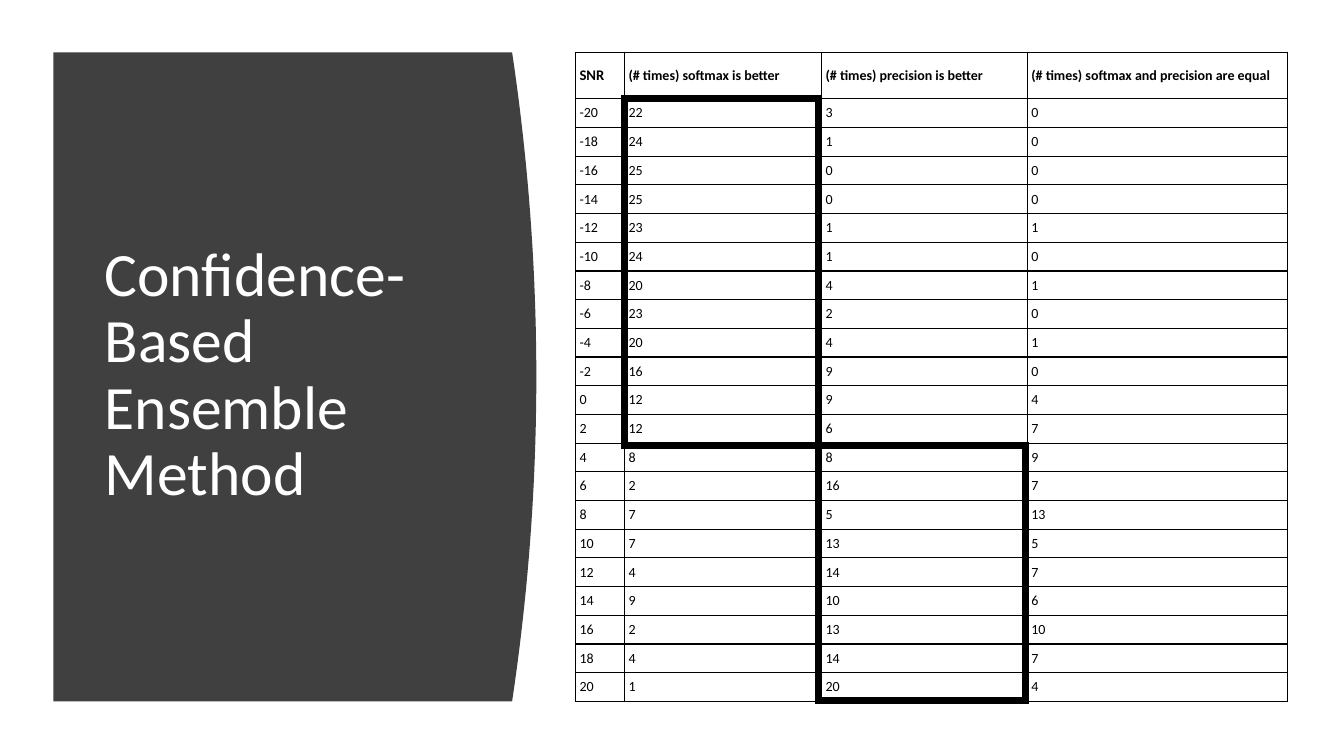
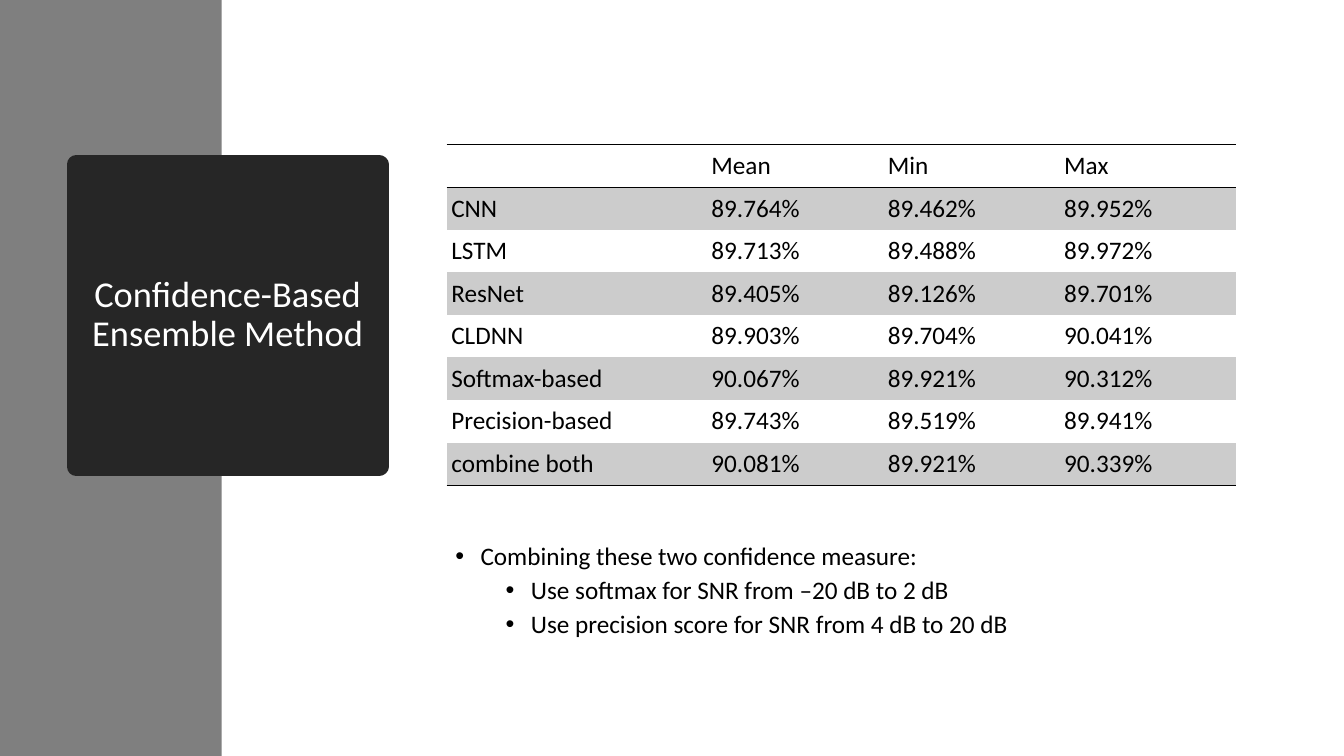
from dataclasses import dataclass
from typing import Collection, Optional, Sequence

from lxml.etree import SubElement
from pptx import Presentation
from pptx.dml.color import RGBColor
from pptx.enum.shapes import MSO_SHAPE as SHAPE
from pptx.enum.text import MSO_ANCHOR as ANCHOR, PP_ALIGN as ALIGN
from pptx.oxml.ns import qn
from pptx.util import Pt

FONT = "Calibri"
BLACK, WHITE = "000000", "FFFFFF"
PANEL, BAND, CARD, STRIPE = "404040", "7F7F7F", "262626", "CCCCCC"
TITLE = "Confidence-Based Ensemble Method"
LINE_SPACING = 0.9


@dataclass(frozen=True)
class Box:
    left: float
    top: float
    width: float
    height: float

    def lengths(self) -> list:
        return [Pt(v) for v in (self.left, self.top, self.width, self.height)]


@dataclass(frozen=True)
class Column:
    heading: str
    width: float
    heading_size: float


@dataclass(frozen=True)
class TableStyle:
    size: float
    inset: float
    head_height: float
    row_height: float
    rules: Collection[int]  # row boundaries that carry a line
    verticals: bool = False
    bold_head: bool = False
    stripe: Optional[str] = None


@dataclass(frozen=True)
class Bullet:
    text: str
    level: int
    margin: float
    space_before: float


SNR_COLUMNS = (
    Column("SNR", 35, 10.5),
    Column("(# times) softmax is better", 140.8, 10),
    Column("(# times) precision is better", 147, 10),
    Column("(# times) softmax and precision are equal", 186.2, 10),
)
SNR_COUNTS = (
    (22, 3, 0), (24, 1, 0), (25, 0, 0), (25, 0, 0), (23, 1, 1), (24, 1, 0), (20, 4, 1),
    (23, 2, 0), (20, 4, 1), (16, 9, 0), (12, 9, 4), (12, 6, 7), (8, 8, 9), (2, 16, 7),
    (7, 5, 13), (7, 13, 5), (4, 14, 7), (9, 10, 6), (2, 13, 10), (4, 14, 7), (1, 20, 4),
)
SNR_ROWS = [(snr, *counts) for snr, counts in zip(range(-20, 21, 2), SNR_COUNTS)]
SNR_STYLE = TableStyle(10, 3, 33.2, 20.5, range(len(SNR_ROWS) + 2),
                       verticals=True, bold_head=True)
HIGHLIGHTS = (Box(446.4, 70.6, 138.2, 247.6), Box(584.6, 318.2, 147.6, 182.2))

ACCURACY_COLUMNS = (
    Column("", 185.8, 18),
    *(Column(name, 126, 18) for name in ("Mean", "Min", "Max")),
)
ACCURACY_ROWS = (
    ("CNN", "89.764%", "89.462%", "89.952%"),
    ("LSTM", "89.713%", "89.488%", "89.972%"),
    ("ResNet", "89.405%", "89.126%", "89.701%"),
    ("CLDNN", "89.903%", "89.704%", "90.041%"),
    ("Softmax-based", "90.067%", "89.921%", "90.312%"),
    ("Precision-based", "89.743%", "89.519%", "89.941%"),
    ("combine both", "90.081%", "89.921%", "90.339%"),
)
ACCURACY_STYLE = TableStyle(18, 3.4, 30.4, 30.4, (0, 1, len(ACCURACY_ROWS) + 1),
                            stripe=STRIPE)
BULLETS = (
    Bullet("Combining these two confidence measure:", 0, 18, 10),
    Bullet("Use softmax for SNR from –20 dB to 2 dB", 1, 54, 5),
    Bullet("Use precision score for SNR from 4 dB to 20 dB", 1, 54, 5),
)


def rgb(color: str) -> RGBColor:
    return RGBColor.from_string(color)


def add_text(tf, text: str, *, size: float, color: str = BLACK, bold: bool = False,
             align=ALIGN.LEFT, line_spacing: float = 1.0, space_before: float = 0):
    """Fill the first paragraph if it is free, otherwise append one."""
    p = tf.paragraphs[0] if not tf.paragraphs[0].runs else tf.add_paragraph()
    p.alignment = align
    p.line_spacing = line_spacing
    p.space_before = Pt(space_before)
    r = p.add_run()
    r.text = text
    r.font.name = FONT
    r.font.size = Pt(size)
    r.font.bold = bold
    r.font.color.rgb = rgb(color)
    return p


def style_shape(s, fill: Optional[str] = None, line: Optional[str] = None,
                line_width: float = 1, join: str = "miter") -> None:
    s.shadow.inherit = False
    if fill:
        s.fill.solid()
        s.fill.fore_color.rgb = rgb(fill)
    else:
        s.fill.background()
    if line:
        s.line.color.rgb = rgb(line)
        s.line.width = Pt(line_width)
        SubElement(s.line._get_or_add_ln(), qn(f"a:{join}"))
    else:
        s.line.fill.background()


def add_rect(slide, box: Box, **style):
    s = slide.shapes.add_shape(SHAPE.RECTANGLE, *box.lengths())
    style_shape(s, **style)
    return s


def add_textbox(slide, box: Box):
    tf = slide.shapes.add_textbox(*box.lengths()).text_frame
    tf.word_wrap = True
    return tf


def add_title(tf, size: float, align=ALIGN.LEFT) -> None:
    tf.word_wrap = True
    tf.vertical_anchor = ANCHOR.MIDDLE
    add_text(tf, TITLE, size=size, color=WHITE, align=align, line_spacing=LINE_SPACING)


def add_bulged_panel(slide, box: Box, bulge: float, steps: int = 40) -> None:
    """Draw a panel whose right side bows out as a parabola."""
    right = box.left + box.width - bulge
    arc = []
    for i in range(steps + 1):
        t = i / steps
        arc.append((Pt(right + bulge * 4 * t * (1 - t)), Pt(box.top + box.height * t)))
    builder = slide.shapes.build_freeform(Pt(box.left), Pt(box.top))
    builder.add_line_segments([*arc, (Pt(box.left), Pt(box.top + box.height))], close=True)
    style_shape(builder.convert_to_shape(), fill=PANEL)


def set_border(cell, side: str, visible: bool) -> None:
    ln = SubElement(cell._tc.get_or_add_tcPr(), qn(f"a:ln{side}"), w=str(Pt(1)))
    if visible:
        SubElement(SubElement(ln, qn("a:solidFill")), qn("a:srgbClr"), val=BLACK)
    else:
        SubElement(ln, qn("a:noFill"))


def add_table(slide, left: float, top: float, columns: Sequence[Column],
              rows: Sequence[tuple], style: TableStyle) -> None:
    box = Box(left, top, sum(c.width for c in columns),
              style.head_height + style.row_height * len(rows))
    table = slide.shapes.add_table(len(rows) + 1, len(columns), *box.lengths()).table
    table.first_row = table.horz_banding = False
    for column, spec in zip(table.columns, columns):
        column.width = Pt(spec.width)
    for i, values in enumerate([tuple(c.heading for c in columns), *rows]):
        head = i == 0
        table.rows[i].height = Pt(style.head_height if head else style.row_height)
        for j, value in enumerate(values):
            cell = table.cell(i, j)
            cell.vertical_anchor = ANCHOR.MIDDLE
            cell.margin_left = cell.margin_right = Pt(style.inset)
            cell.margin_top = cell.margin_bottom = Pt(style.inset)
            for side, visible in (("L", style.verticals), ("R", style.verticals),
                                  ("T", i in style.rules), ("B", i + 1 in style.rules)):
                set_border(cell, side, visible)
            if style.stripe and i % 2:
                cell.fill.solid()
                cell.fill.fore_color.rgb = rgb(style.stripe)
            else:
                cell.fill.background()
            if value != "":
                add_text(cell.text_frame, str(value), bold=head and style.bold_head,
                         size=columns[j].heading_size if head else style.size)


def add_bullets(tf, bullets: Sequence[Bullet]) -> None:
    for bullet in bullets:
        p = add_text(tf, bullet.text, size=18, line_spacing=LINE_SPACING,
                     space_before=bullet.space_before)
        p.level = bullet.level
        pPr = p._p.get_or_add_pPr()
        pPr.set("marL", str(Pt(bullet.margin)))
        pPr.set("indent", str(Pt(-18)))
        SubElement(pPr, qn("a:buFont"), typeface="Arial")
        SubElement(pPr, qn("a:buChar"), char="•")


def build_snr_slide(slide) -> None:
    add_bulged_panel(slide, Box(38.2, 37.4, 344.9, 463.7), bulge=17.3)
    add_title(add_textbox(slide, Box(67.7, 79.9, 269.3, 377.3)), 44)
    add_table(slide, 411, 37.4, SNR_COLUMNS, SNR_ROWS, SNR_STYLE)
    for box in HIGHLIGHTS:
        add_rect(slide, box, line=BLACK, line_width=5)


def build_accuracy_slide(slide) -> None:
    add_rect(slide, Box(0, 0, 158.4, 540), fill=BAND)
    card = add_rect(slide, Box(54.7, 117.4, 216, 216), fill=CARD, line=CARD,
                    line_width=13.75, join="round")
    add_title(card.text_frame, 26, ALIGN.CENTER)
    add_bullets(add_textbox(slide, Box(318.2, 384.5, 565.9, 101.5)), BULLETS)
    add_table(slide, 319, 103.4, ACCURACY_COLUMNS, ACCURACY_ROWS, ACCURACY_STYLE)


def main() -> None:
    prs = Presentation()
    prs.slide_width, prs.slide_height = Pt(960), Pt(540)
    for build in (build_snr_slide, build_accuracy_slide):
        build(prs.slides.add_slide(prs.slide_layouts[6]))
    prs.save("out.pptx")


if __name__ == "__main__":
    main()
